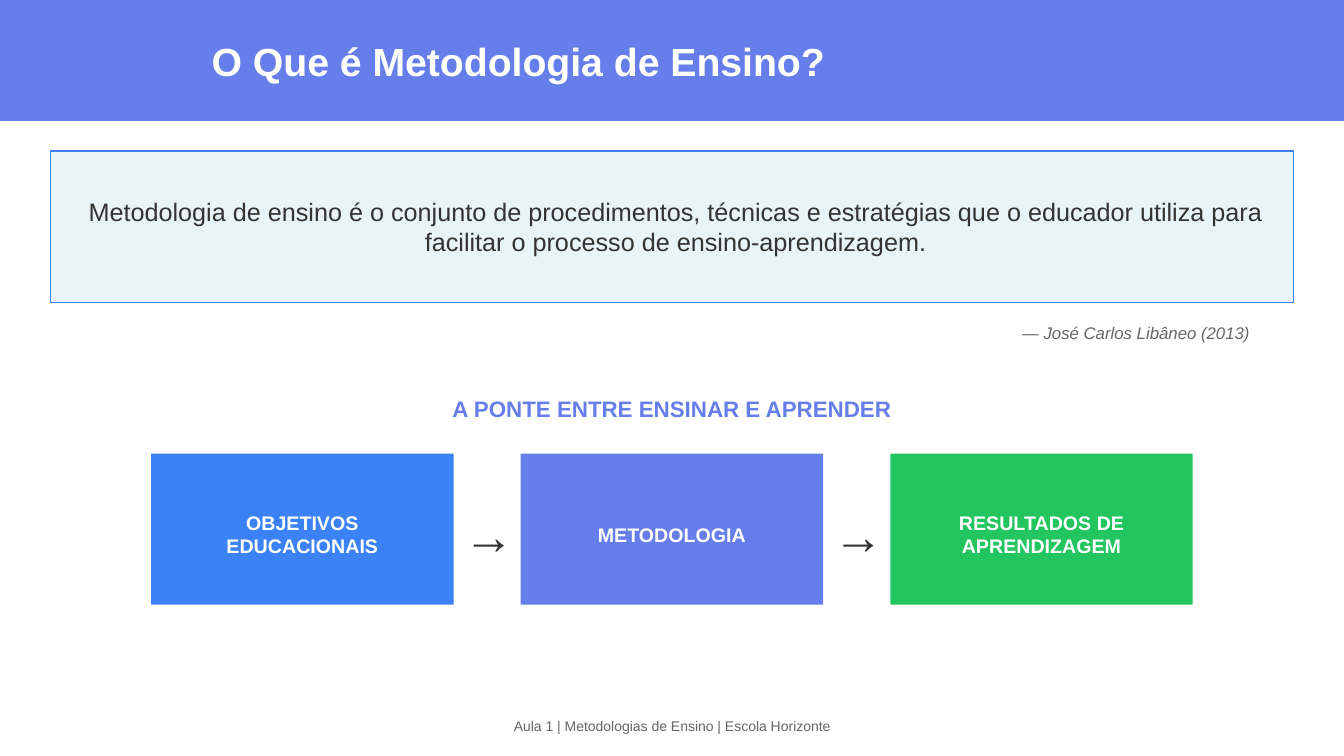
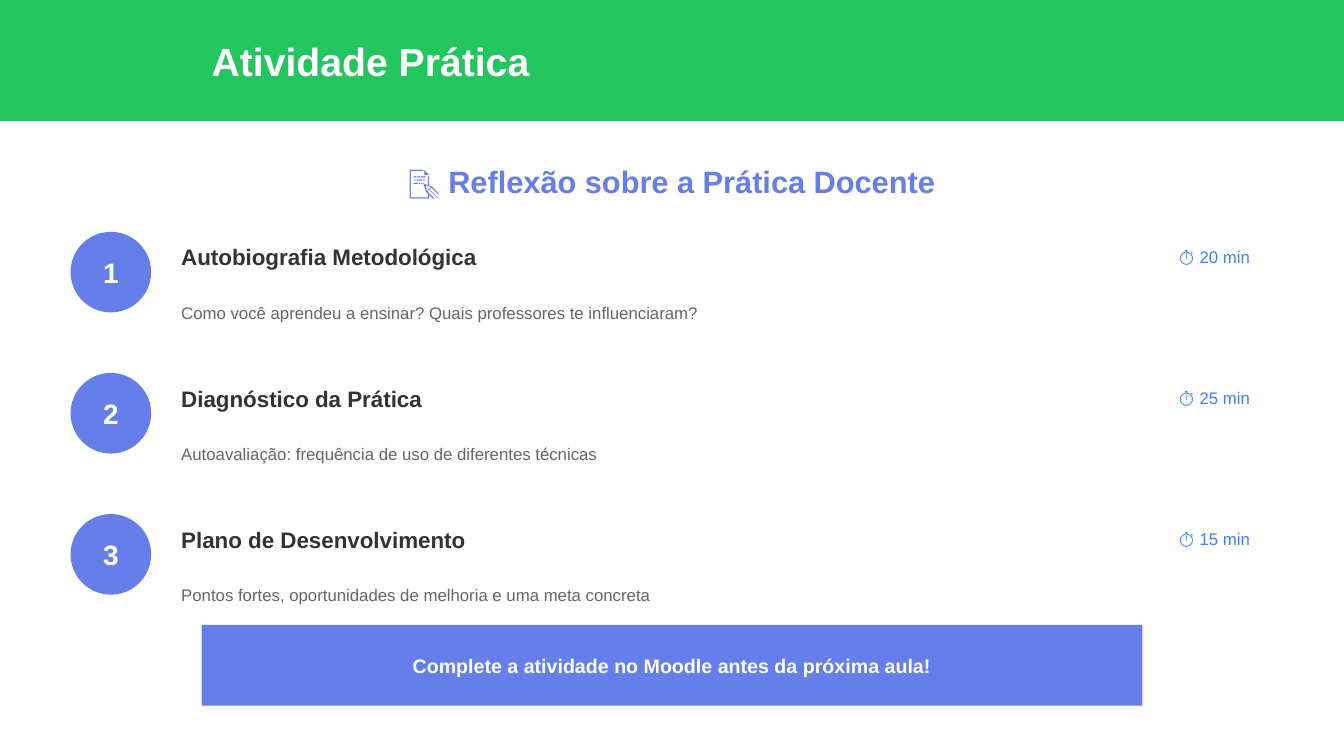
from pptx import Presentation
from pptx.dml.color import RGBColor
from pptx.enum.shapes import MSO_SHAPE as SHAPE
from pptx.enum.text import MSO_ANCHOR as ANCHOR, MSO_AUTO_SIZE as AUTO, PP_ALIGN as ALIGN
from pptx.util import Pt

WIDTH, HEIGHT = 960, 540
FONT = "Arial"
COLORS = {
    "white": "FFFFFF", "indigo": "667EEA", "blue": "3B82F6", "green": "22C55E",
    "pale": "E8F4F8", "dark": "333333", "gray": "666666",
}
STYLES = {
    "title": dict(size=28, color="white", bold=True),
    "quote": dict(size=18, color="dark", align=ALIGN.CENTER),
    "author": dict(size=12, color="gray", italic=True, align=ALIGN.RIGHT),
    "heading": dict(size=16, color="indigo", bold=True, align=ALIGN.CENTER),
    "subtitle": dict(size=22, color="indigo", bold=True, align=ALIGN.CENTER),
    "block": dict(size=14, color="white", bold=True, align=ALIGN.CENTER),
    "arrow": dict(size=36, color="dark", align=ALIGN.CENTER),
    "number": dict(size=20, color="white", bold=True, align=ALIGN.CENTER),
    "step": dict(size=16, color="dark", bold=True),
    "time": dict(size=12, color="blue", align=ALIGN.RIGHT),
    "detail": dict(size=12, color="gray"),
    "footer": dict(size=10, color="gray", align=ALIGN.CENTER),
}


def rgb(name):
    return RGBColor.from_string(COLORS[name])


def write(sp, text, style, **margins):
    fmt = {"bold": False, "italic": False, "align": ALIGN.LEFT, **STYLES[style]}
    tf = sp.text_frame
    tf.word_wrap = True
    tf.auto_size = AUTO.NONE
    tf.vertical_anchor = ANCHOR.MIDDLE
    for side, value in margins.items():
        setattr(tf, f"margin_{side}", Pt(value))
    for i, line in enumerate(text.split("\n")):
        p = tf.paragraphs[0] if i == 0 else tf.add_paragraph()
        p.alignment = fmt["align"]
        r = p.add_run()
        r.text = line
        r.font.name = FONT
        r.font.size = Pt(fmt["size"])
        r.font.color.rgb = rgb(fmt["color"])
        for key in ("bold", "italic"):
            setattr(r.font, key, fmt[key])


def add_text(s, box, text, style):
    write(s.shapes.add_textbox(*map(Pt, box)), text, style)


def add_block(s, box, fill, text, style, kind=SHAPE.RECTANGLE, line=None, **margins):
    sp = s.shapes.add_shape(kind, *map(Pt, box))
    sp.shadow.inherit = False
    sp.fill.solid()
    sp.fill.fore_color.rgb = rgb(fill)
    if line:
        sp.line.color.rgb = rgb(line)
        sp.line.width = Pt(1)
    else:
        sp.line.fill.background()
    write(sp, text, style, **margins)


def add_slide(prs, title, fill):
    s = prs.slides.add_slide(prs.slide_layouts[5])
    sp = s.shapes.title
    sp.left, sp.top, sp.width, sp.height = map(Pt, (0, 0, WIDTH, 86.4))
    sp.fill.solid()
    sp.fill.fore_color.rgb = rgb(fill)
    write(sp, title, "title", left=151.2)
    return s


def add_quote(s, box, text, author):
    x, y, w, h = box
    add_block(s, box, "pale", text, "quote", line="blue", left=21.6, right=16.5)
    add_text(s, (x + w - 348, y + h + 7.2, 324, 28.8), author, "author")


def add_flow(s, box, stages, block_w=216):
    x, y, w, h = box
    gap = (w - len(stages) * block_w) / (len(stages) - 1)
    for i, (text, fill) in enumerate(stages):
        left = x + i * (block_w + gap)
        add_block(s, (left, y, block_w, h), fill, text, "block", top=10.8)
        if i < len(stages) - 1:
            add_text(s, (left + block_w, y + 21.6, 50.4, 72), "→", "arrow")


def add_step(s, box, number, name, time, detail):
    x, y, w, h = box
    text_x = x + 72
    add_block(s, (x, y, 57.6, 57.6), "indigo", str(number), "number",
              kind=SHAPE.OVAL, left=0, right=0, top=0, bottom=0)
    add_text(s, (text_x, y, 576, 36), name, "step")
    add_text(s, (x + w - 180, y, 180, 36), time, "time")
    add_text(s, (text_x, y + 36, w - 72, h - 36), detail, "detail")


def concept_slide(prs):
    s = add_slide(prs, "O Que é Metodologia de Ensino?", "indigo")
    add_quote(s, (36, 108, 888, 108),
              "Metodologia de ensino é o conjunto de procedimentos, técnicas e estratégias "
              "que o educador utiliza para facilitar o processo de ensino-aprendizagem.",
              "— José Carlos Libâneo (2013)")
    add_text(s, (36, 273.6, 888, 36), "A PONTE ENTRE ENSINAR E APRENDER", "heading")
    add_flow(s, (108, 324, 744, 108), [
        ("OBJETIVOS\nEDUCACIONAIS", "blue"),
        ("METODOLOGIA", "indigo"),
        ("RESULTADOS DE\nAPRENDIZAGEM", "green"),
    ])
    add_text(s, (0, 504, WIDTH, 28.8),
             "Aula 1 | Metodologias de Ensino | Escola Horizonte", "footer")


def activity_slide(prs):
    s = add_slide(prs, "Atividade Prática", "green")
    add_text(s, (36, 108, 888, 43.2), "📝 Reflexão sobre a Prática Docente", "subtitle")
    steps = [
        ("Autobiografia Metodológica", "⏱️ 20 min",
         "Como você aprendeu a ensinar? Quais professores te influenciaram?"),
        ("Diagnóstico da Prática", "⏱️ 25 min",
         "Autoavaliação: frequência de uso de diferentes técnicas"),
        ("Plano de Desenvolvimento", "⏱️ 15 min",
         "Pontos fortes, oportunidades de melhoria e uma meta concreta"),
    ]
    for i, step in enumerate(steps):
        add_step(s, (50.4, 165.6 + i * 100.8, 849.6, 79.2), i + 1, *step)
    add_block(s, (144, 446.4, 672, 57.6), "indigo",
              "Complete a atividade no Moodle antes da próxima aula!", "block")


def main():
    prs = Presentation()
    prs.slide_width, prs.slide_height = Pt(WIDTH), Pt(HEIGHT)
    concept_slide(prs)
    activity_slide(prs)
    prs.save("out.pptx")


if __name__ == "__main__":
    main()
